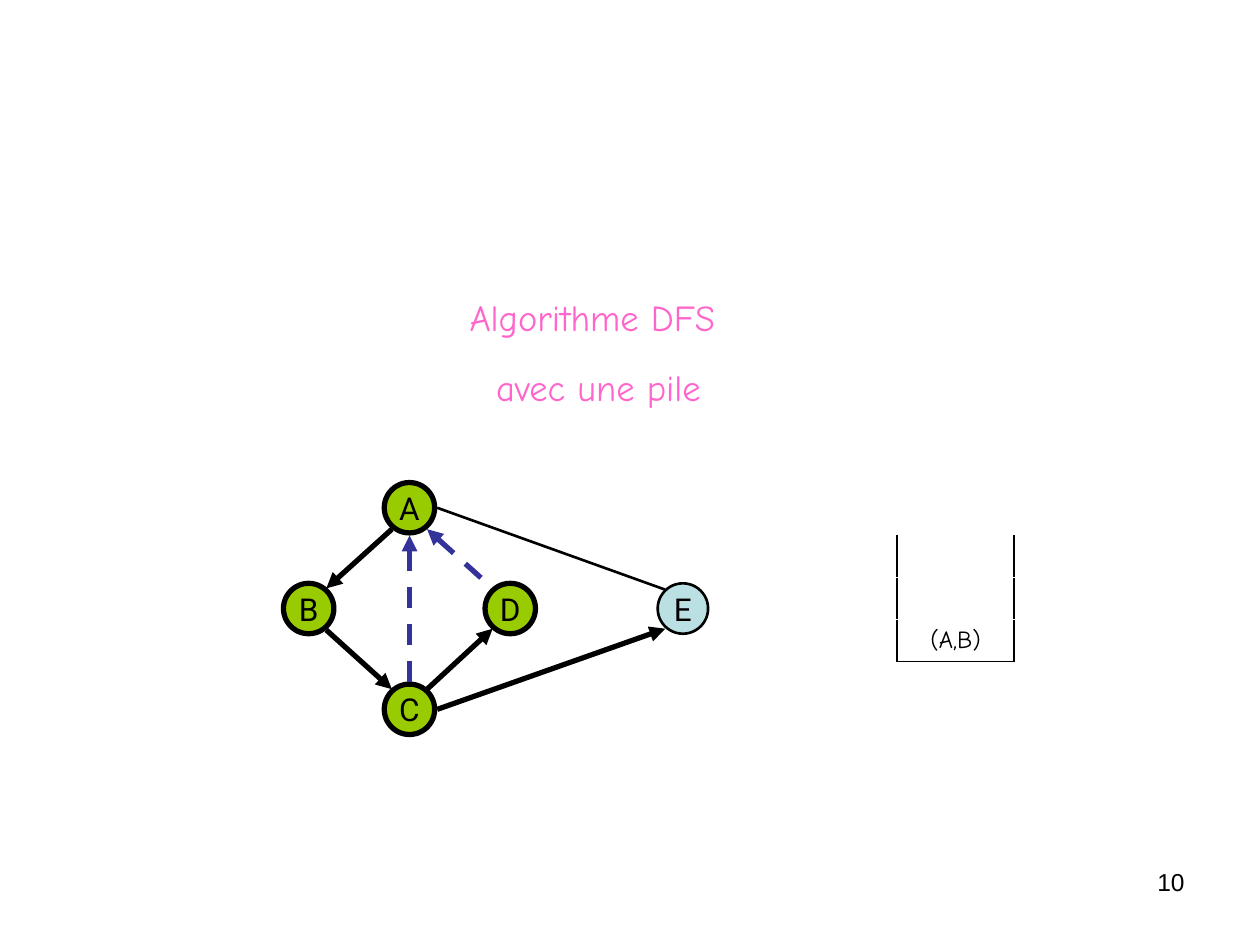
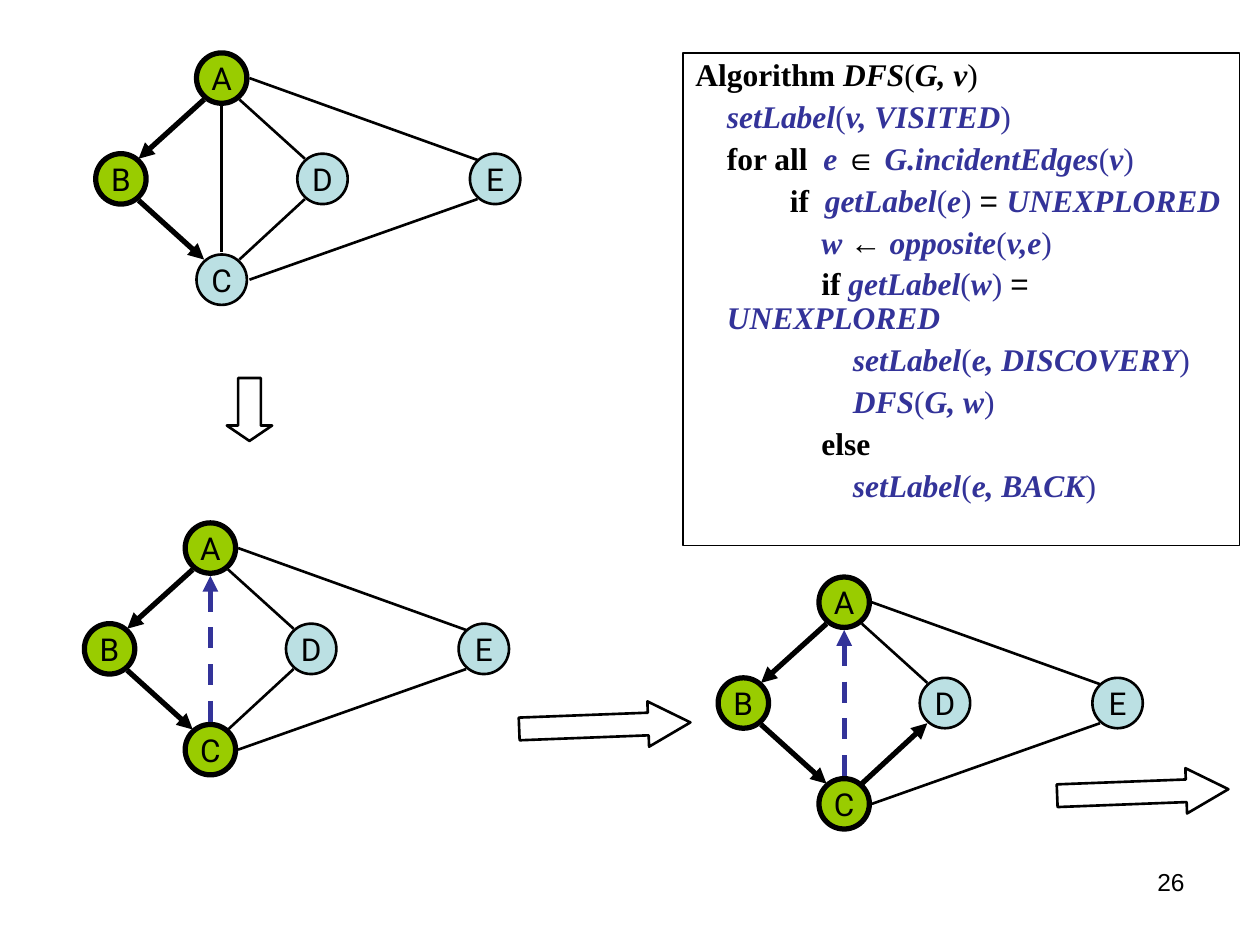
from dataclasses import dataclass
from typing import NamedTuple

from lxml import etree
from pptx import Presentation
from pptx.dml.color import RGBColor
from pptx.enum import dml, shapes, text
from pptx.oxml import ns
from pptx.slide import Slide
from pptx.util import Inches, Pt

# Shared look
BLACK = "000000"
BLUE = "333399"
PINK = "FF66CC"
VISITED_FILL = "99CC00"
UNVISITED_FILL = "BBE0E3"
THIN, THICK = 1.5, 3

# Graph layout, in inches from the centre of node A
NODE_SIZE = 0.4
NODE_CENTRES = {
    "D": (0.8, 0.8),
    "B": (-0.8, 0.8),
    "A": (0, 0),
    "C": (0, 1.6),
    "E": (2.17, 0.8),
}
EDGE_ENDS = {
    "AB": ((-0.14, 0.17), (-0.66, 0.64)),
    "BC": ((-0.66, 0.97), (-0.14, 1.44)),
    "CD": ((0.14, 1.44), (0.66, 0.96)),
    "AD": ((0.14, 0.17), (0.66, 0.64)),
    "AC": ((0, 0.22), (0, 1.38)),
    "CE": ((0.22, 1.6), (2.03, 0.96)),
    "AE": ((0.22, 0), (2.03, 0.65)),
}


@dataclass
class GraphState:
    """Search state: discovery edges point forward, back edges point to their first node."""
    x: float
    y: float
    visited: str
    discovery: tuple[str, ...]
    back: tuple[str, ...] = ()


@dataclass
class BlockArrow:
    x: float
    y: float
    width: float
    rotation: float
    head: float


class RunStyle(NamedTuple):
    font: str
    size: float
    color: str
    bold: bool = False
    italic: bool = False


class CodeLine(NamedTuple):
    indent: float
    runs: list[tuple[str, RunStyle]]


NUMBER = RunStyle("Arial", 14, BLACK)
TITLE = RunStyle("Comic Neue", 20.9, PINK)
STACK_ENTRY = RunStyle("Comic Neue", 14, BLACK)
NODE_LABEL = RunStyle("Roboto", 18, BLACK)
KEYWORD = RunStyle("Times New Roman", 18, BLACK, bold=True)
NAME = RunStyle("Times New Roman", 18, BLUE, bold=True, italic=True)
PLAIN = RunStyle("Times New Roman", 18, BLUE)
SYMBOL = RunStyle("Arial", 18, BLACK)


def rgb(color: str) -> RGBColor:
    return RGBColor.from_string(color)


def format_run(run, style: RunStyle) -> None:
    font = run.font
    font.name, font.size = style.font, Pt(style.size)
    font.bold, font.italic = style.bold, style.italic
    font.color.rgb = rgb(style.color)


def write(paragraph, content: str, style: RunStyle, alignment) -> None:
    paragraph.text = content
    paragraph.alignment = alignment
    for run in paragraph.runs:
        format_run(run, style)


def set_outline(shape, width: float, fill: str | None = None) -> None:
    shape.shadow.inherit = False
    shape.line.color.rgb = rgb(BLACK)
    shape.line.width = Pt(width)
    if fill:
        shape.fill.solid()
        shape.fill.fore_color.rgb = rgb(fill)
    else:
        shape.fill.background()


# Slide parts
def add_slide_number(slide: Slide, number: int) -> None:
    box = slide.shapes.add_textbox(Inches(7.17), Inches(6.83), Inches(2.33), Inches(0.52))
    box.text_frame.word_wrap = True
    write(box.text_frame.paragraphs[0], str(number), NUMBER, text.PP_ALIGN.RIGHT)


def add_title(slide: Slide, lines: list[str]) -> None:
    title = slide.shapes.title
    title.left, title.top = Inches(0.5), Inches(2.04)
    title.width, title.height = Inches(8.5), Inches(1.25)
    frame = title.text_frame
    frame.auto_size = text.MSO_AUTO_SIZE.NONE
    frame.vertical_anchor = text.MSO_ANCHOR.BOTTOM
    frame.text = "\n".join(lines)
    for index, (paragraph, line) in enumerate(zip(frame.paragraphs, lines)):
        write(paragraph, line, TITLE, text.PP_ALIGN.CENTER)
        paragraph.line_spacing = 0.8
        paragraph.space_before = Pt(20 if index else 0)


def add_node(group, label: str, x: float, y: float, visited: bool) -> None:
    node = group.shapes.add_shape(
        shapes.MSO_SHAPE.OVAL, Inches(x - NODE_SIZE / 2), Inches(y - NODE_SIZE / 2),
        Inches(NODE_SIZE), Inches(NODE_SIZE))
    if visited:
        set_outline(node, THICK, VISITED_FILL)
    else:
        set_outline(node, THIN, UNVISITED_FILL)
    frame = node.text_frame
    frame.word_wrap = False
    frame.vertical_anchor = text.MSO_ANCHOR.MIDDLE
    write(frame.paragraphs[0], label, NODE_LABEL, text.PP_ALIGN.CENTER)


def add_edge(group, edge: str, graph: GraphState) -> None:
    (x1, y1), (x2, y2) = EDGE_ENDS[edge]
    connector = group.shapes.add_connector(
        shapes.MSO_CONNECTOR.STRAIGHT,
        Inches(graph.x + x1), Inches(graph.y + y1),
        Inches(graph.x + x2), Inches(graph.y + y2))
    is_back, is_discovery = edge in graph.back, edge in graph.discovery
    line = connector.line
    line.color.rgb = rgb(BLUE if is_back else BLACK)
    line.width = Pt(THICK if is_back or is_discovery else THIN)
    if is_back:
        line.dash_style = dml.MSO_LINE.DASH
    properties = connector._element.spPr
    if is_back or is_discovery:
        arrow_end = "a:headEnd" if is_back else "a:tailEnd"
        etree.SubElement(properties.find(ns.qn("a:ln")), ns.qn(arrow_end), type="triangle")
    etree.SubElement(properties, ns.qn("a:effectLst"))


def add_graph(slide: Slide, graph: GraphState) -> None:
    group = slide.shapes.add_group_shape()
    for label, (x, y) in NODE_CENTRES.items():
        add_node(group, label, graph.x + x, graph.y + y, label in graph.visited)
    for edge in EDGE_ENDS:
        add_edge(group, edge, graph)


def add_block_arrow(slide: Slide, arrow: BlockArrow) -> None:
    shape = slide.shapes.add_shape(
        shapes.MSO_SHAPE.RIGHT_ARROW, Inches(arrow.x), Inches(arrow.y),
        Inches(arrow.width), Inches(0.36))
    shape.adjustments[0], shape.adjustments[1] = 0.5, arrow.head
    shape.rotation = arrow.rotation
    set_outline(shape, THIN)


def add_cell_border(cell, side: str) -> None:
    properties = cell._tc.get_or_add_tcPr()
    border = etree.SubElement(properties, ns.qn(f"a:ln{side}"), w=str(Pt(1.08)))
    fill = etree.SubElement(border, ns.qn("a:solidFill"))
    etree.SubElement(fill, ns.qn("a:srgbClr"), val=BLACK)


def add_stack(slide: Slide, entries: list[str]) -> None:
    """Draw an open-topped stack; entries run from top to bottom."""
    frame = slide.shapes.add_table(
        len(entries), 1, Inches(7.12), Inches(4.25), Inches(0.93), Inches(1))
    table = frame.table
    table.first_row = table.horz_banding = False
    for index, entry in enumerate(entries):
        cell = table.cell(index, 0)
        is_bottom = index == len(entries) - 1
        for side in "LRB" if is_bottom else "LR":
            add_cell_border(cell, side)
        cell.fill.background()
        cell.vertical_anchor = text.MSO_ANCHOR.MIDDLE
        if entry:
            write(cell.text_frame.paragraphs[0], entry, STACK_ENTRY, text.PP_ALIGN.CENTER)
        else:
            cell.margin_top = cell.margin_bottom = 0


# Pseudocode
def call(function: str, arguments: str) -> list[tuple[str, RunStyle]]:
    return [(function, NAME), ("(", PLAIN), (arguments, NAME), (")", PLAIN)]


def unexplored_test(keyword: str, variable: str) -> list[tuple[str, RunStyle]]:
    return [(keyword, KEYWORD), *call("getLabel", variable),
            (" ", PLAIN), ("= ", SYMBOL), ("UNEXPLORED", NAME)]


HEADING = [("Algorithm ", KEYWORD)] + [
    (content, style._replace(color=BLACK)) for content, style in call("DFS", "G, v")]
DFS_CODE = [
    CodeLine(0, HEADING),
    CodeLine(0.25, call("setLabel", "v, VISITED")),
    CodeLine(0.25, [("for all  ", KEYWORD), ("e ", NAME), ("∈", SYMBOL),
                    *call(" G.incidentEdges", "v")]),
    CodeLine(0.75, unexplored_test("if  ", "e")),
    CodeLine(1, [("w ", NAME), ("←", SYMBOL), *call(" opposite", "v,e")]),
    CodeLine(1, unexplored_test("if ", "w")),
    CodeLine(1.25, call("setLabel", "e, DISCOVERY")),
    CodeLine(1.25, call("DFS", "G, w")),
    CodeLine(1, [("else", KEYWORD)]),
    CodeLine(1.25, call("setLabel", "e, BACK")),
]


def add_code_box(slide: Slide, lines: list[CodeLine]) -> None:
    box = slide.shapes.add_shape(
        shapes.MSO_SHAPE.RECTANGLE, Inches(5.42), Inches(0.42), Inches(4.42), Inches(3.91))
    set_outline(box, 0.75)
    frame = box.text_frame
    frame.word_wrap = True
    frame.vertical_anchor = text.MSO_ANCHOR.TOP
    for index, line in enumerate(lines):
        paragraph = frame.add_paragraph() if index else frame.paragraphs[0]
        paragraph.alignment = text.PP_ALIGN.LEFT
        paragraph.line_spacing = 0.9
        paragraph.space_before = Pt(4.5 if index else 0)
        margin = min(line.indent, 0.25)
        properties = paragraph._p.get_or_add_pPr()
        properties.set("marL", str(Inches(margin)))
        properties.set("indent", str(Inches(line.indent - margin)))
        for content, style in line.runs:
            run = paragraph.add_run()
            run.text = content
            format_run(run, style)


# Slides
def build_stack_slide(presentation) -> None:
    slide = presentation.slides.add_slide(presentation.slide_layouts[5])
    add_slide_number(slide, 10)
    add_title(slide, ["Algorithme DFS ", "avec une pile"])
    add_stack(slide, ["", "", "(A,B)"])
    add_graph(slide, GraphState(3.25, 4.03, "ABCD", ("AB", "BC", "CD", "CE"), ("AD", "AC")))


def build_steps_slide(presentation) -> None:
    slide = presentation.slides.add_slide(presentation.slide_layouts[6])
    add_slide_number(slide, 26)
    add_code_box(slide, DFS_CODE)
    for graph in (
        GraphState(1.76, 0.62, "AB", ("AB", "BC")),
        GraphState(1.67, 4.35, "ABC", ("AB", "BC"), ("AC",)),
        GraphState(6.7, 4.78, "ABC", ("AB", "BC", "CD"), ("AC",)),
    ):
        add_graph(slide, graph)
    for arrow in (
        BlockArrow(1.73, 3.07, 0.5, 90, 0.34),
        BlockArrow(4.12, 5.58, 1.36, -2.2, 0.93),
        BlockArrow(8.39, 6.11, 1.36, -2.2, 0.93),
    ):
        add_block_arrow(slide, arrow)


def main() -> None:
    presentation = Presentation()
    presentation.slide_width, presentation.slide_height = Inches(10), Inches(7.5)
    build_stack_slide(presentation)
    build_steps_slide(presentation)
    presentation.save("out.pptx")


if __name__ == "__main__":
    main()
